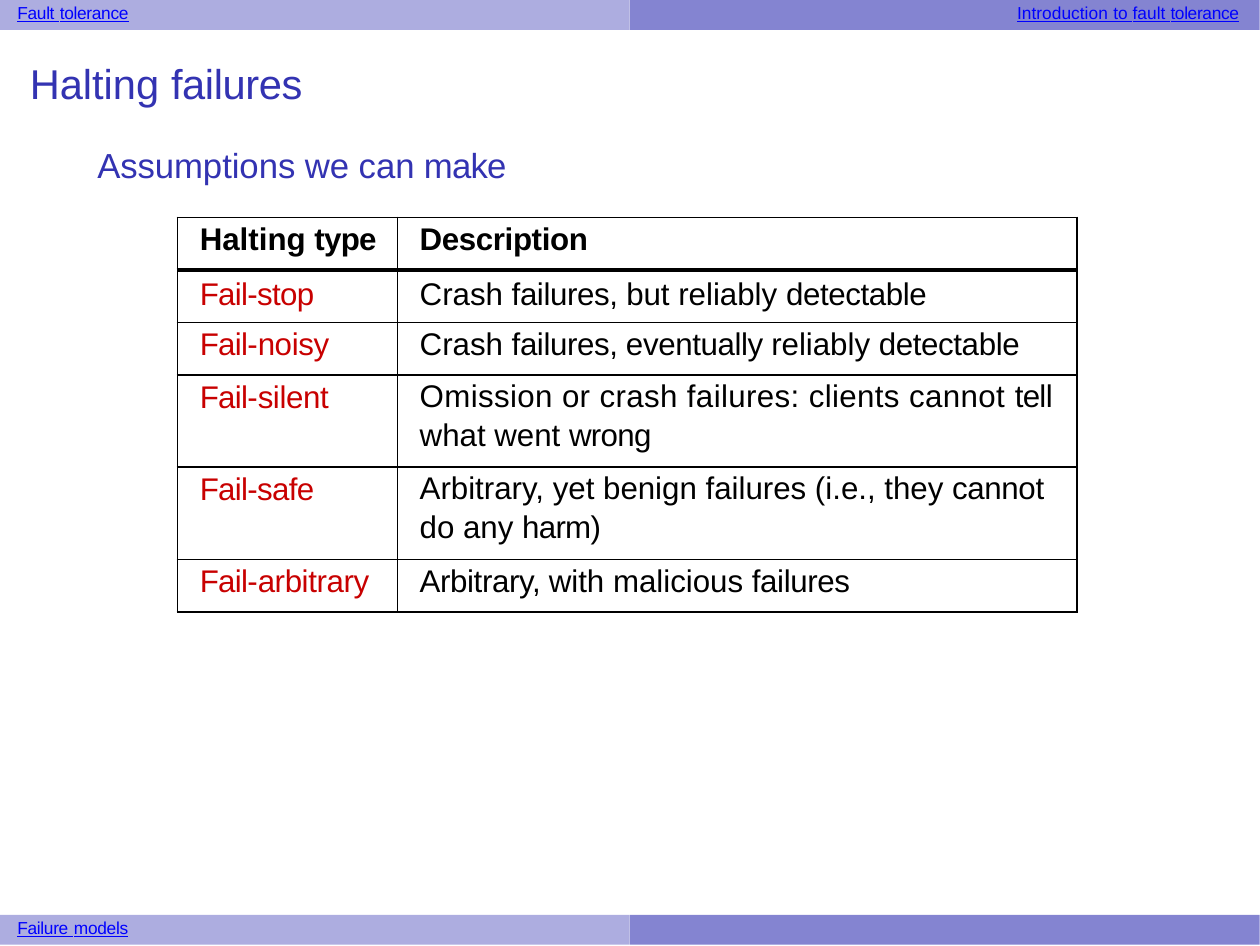
from dataclasses import dataclass

from lxml import etree
from pptx import Presentation
from pptx.dml.color import RGBColor
from pptx.enum import shapes
from pptx.oxml import ns
from pptx.util import Inches, Pt


@dataclass(frozen=True)
class Theme:
    face: str = "Arial"
    pale: str = "ADADE0"
    deep: str = "8484D1"
    link: str = "0000FF"
    head: str = "3333B2"
    term: str = "C80000"
    ink: str = "000000"
    small: float = 5
    body: float = 9
    sub: float = 10
    title: float = 12
    thin: float = 0.5
    thick: float = 1.5


THEME = Theme()
PAGE = Pt(363), Pt(272.5)
HALF, BAR, FOOT = 2.52, 0.12, 3.66

# Each text is a list of (words, letter spacing in points)
LINKS = [
    (0.06, 0, 0.48, [("Fault", -0.1), (" ", 0.1), ("tolerance", -0.1)]),
    (4.06, 0, 0.92, [("Introduction", 0), (" ", -0.2), ("to", 0), (" ", -0.2),
                     ("fault", 0), (" ", -0.2), ("tolerance", -0.1)]),
    (0.06, FOOT, 0.48, [("Failure", -0.1), (" ", 0.2), ("models", -0.1)]),
]
TITLE = [("Halting ", 0), ("failures", -0.1)]
SUBHEAD = [("Assumptions we can ", 0), ("make", -0.2)]
COLS = [0.88, 2.72]
# Row height, top margin, halting type, description
ROWS = [
    (0.21, 0.02, [("Halting ", 0), ("type", -0.2)], [("Description", -0.1)]),
    (0.21, 0.03, [("Fail-stop", -0.2)],
     [("Crash ", 0), ("failures, ", -0.1), ("but reliably ", 0),
      ("detectable", -0.1)]),
    (0.21, 0.02, [("Fail-", -0.2), ("noisy", -0.1)],
     [("Crash ", 0), ("failures, eventually ", -0.1), ("reliably ", 0),
      ("detectable", -0.1)]),
    (0.37, 0.02, [("Fail-", -0.2), ("silent", -0.1)],
     [("Omission or crash failures: clients cannot ", 0.1), ("tell ", -0.2),
      ("what went ", 0), ("wrong", -0.2)]),
    (0.37, 0.02, [("Fail-safe", -0.2)],
     [("Arbitrary, yet benign failures (i.e., they ", 0), ("cannot ", -0.1),
      ("do any ", 0), ("harm)", -0.2)]),
    (0.21, 0.02, [("Fail-", -0.2), ("arbitrary", -0.1)],
     [("Arbitrary, ", -0.1), ("with malicious ", 0), ("failures", -0.1)]),
]


def rgb(code):
    return RGBColor.from_string(code)


def write(para, parts, size, color, bold=False, line=False):
    for words, gap in parts:
        run = para.add_run()
        run.text = words
        run._r.get_or_add_rPr().set("spc", str(round(gap * 100)))
    font = para.font
    font.name, font.size = THEME.face, Pt(size)
    font.color.rgb = rgb(color)
    font.bold, font.underline = bold, line


def add_bar(slide, left, top, color):
    bar = slide.shapes.add_shape(
        shapes.MSO_SHAPE.RECTANGLE, Inches(left), Inches(top),
        Inches(HALF), Inches(BAR))
    bar.shadow.inherit = False
    bar.fill.solid()
    bar.fill.fore_color.rgb = rgb(color)
    bar.line.fill.background()


def add_box(slide, left, top, width, height):
    box = slide.shapes.add_textbox(
        Inches(left), Inches(top), Inches(width), Inches(height))
    frame = box.text_frame
    frame.word_wrap = True
    frame.margin_left = frame.margin_top = Inches(0.01)
    frame.margin_right = frame.margin_bottom = 0
    return frame


def add_edges(cell, top, base):
    props = cell._tc.get_or_add_tcPr()
    sides = {"lnL": THEME.thin, "lnR": THEME.thin, "lnT": top, "lnB": base}
    for spot, (side, width) in enumerate(sides.items()):
        edge = etree.Element(ns.qn("a:" + side), w=str(Pt(width)))
        fill = etree.SubElement(edge, ns.qn("a:solidFill"))
        etree.SubElement(fill, ns.qn("a:srgbClr"), val=THEME.ink)
        props.insert(spot, edge)


def add_grid(slide, left, top):
    high = sum(row[0] for row in ROWS)
    table = slide.shapes.add_table(
        len(ROWS), len(COLS), Inches(left), Inches(top),
        Inches(sum(COLS)), Inches(high)).table
    table.first_row = table.horz_banding = False
    for col, width in zip(table.columns, COLS):
        col.width = Inches(width)
    for r, (height, inset, *texts) in enumerate(ROWS):
        table.rows[r].height = Inches(height)
        for c, parts in enumerate(texts):
            cell = table.cell(r, c)
            cell.fill.background()
            cell.margin_left = Inches(0.09)
            cell.margin_right = cell.margin_bottom = 0
            cell.margin_top = Inches(inset)
            para = cell.text_frame.paragraphs[0]
            # Two-line descriptions carry looser lines
            if c == 1 and height > 0.3:
                cell.margin_top = 0
                para.line_spacing = 1.12
            color = THEME.term if r and c == 0 else THEME.ink
            write(para, parts, THEME.body, color, bold=r == 0)
            add_edges(cell, THEME.thick if r == 1 else THEME.thin,
                      THEME.thick if r == 0 else THEME.thin)


def main():
    deck = Presentation()
    deck.slide_width, deck.slide_height = PAGE
    slide = deck.slides.add_slide(deck.slide_layouts[6])

    # Header and footer bars with their links
    for top in (0, FOOT):
        add_bar(slide, 0, top, THEME.pale)
        add_bar(slide, HALF, top, THEME.deep)
    for left, top, width, parts in LINKS:
        frame = add_box(slide, left, top, width, 0.11)
        write(frame.paragraphs[0], parts, THEME.small, THEME.link, line=True)

    # Title and subheading
    frame = add_box(slide, 0.11, 0.22, 1.94, 0.54)
    write(frame.paragraphs[0], TITLE, THEME.title, THEME.head)
    para = frame.add_paragraph()
    para._p.get_or_add_pPr().set("marL", str(Inches(0.27)))
    para.space_before = Pt(10.6)
    write(para, SUBHEAD, THEME.sub, THEME.head)

    # Table of halting types
    add_grid(slide, 0.71, 0.87)

    deck.save("out.pptx")


if __name__ == "__main__":
    main()
